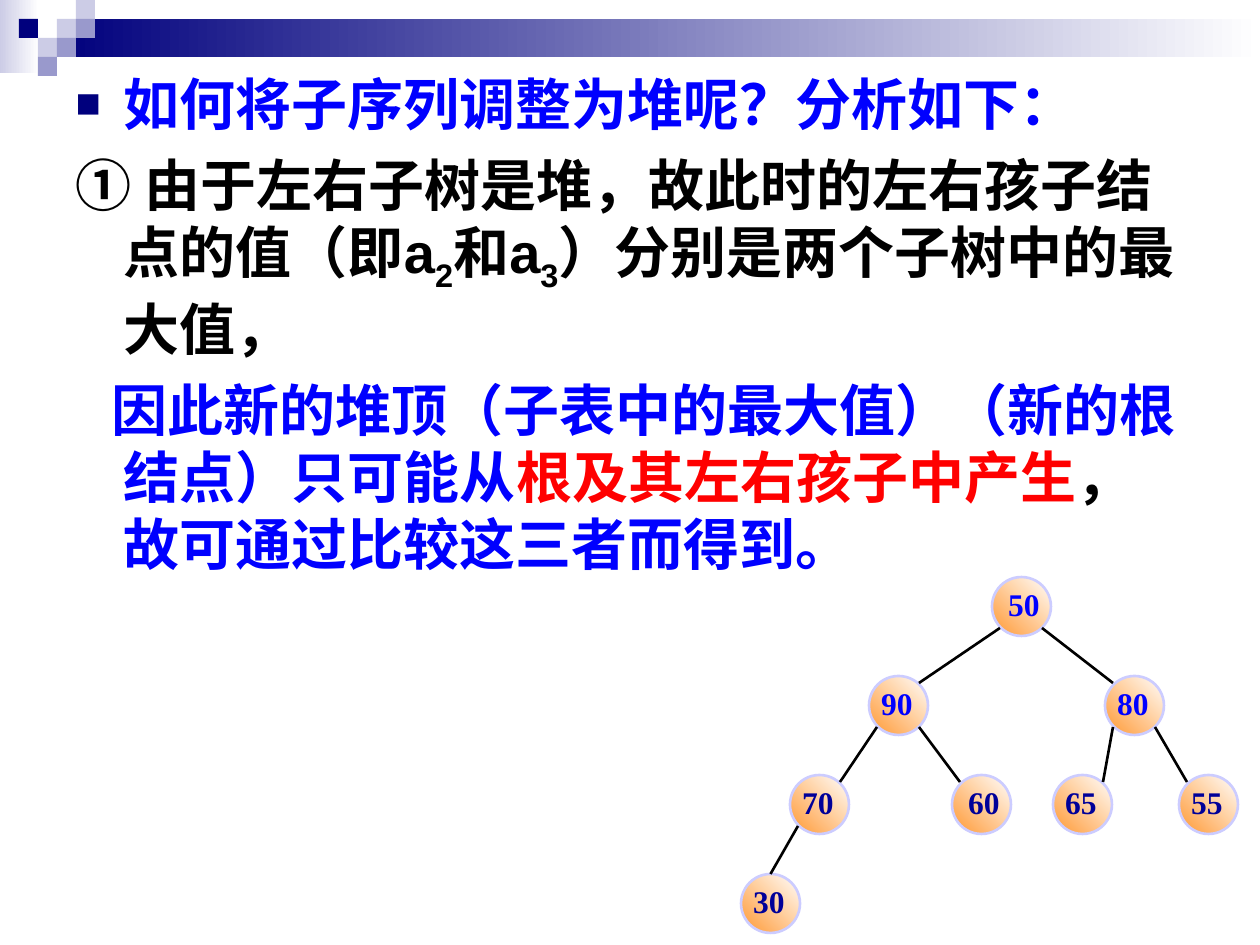
"""Build the slide that explains how a subsequence is adjusted into a heap."""
from dataclasses import dataclass
from typing import Optional

import lxml.etree
import pptx
import pptx.dml.color
import pptx.enum.shapes
import pptx.enum.text
import pptx.oxml.ns
import pptx.util

EMU_PER_PX = 914400 / 126
NODE_SIZE = 59
NODE_RADIUS = 29
LEVEL_TOP = 577
LEVEL_STEP = 99
EDGE_OFFSET_X = 21
EDGE_OFFSET_Y = 22
SQUARE = 19
HANGING = 48


@dataclass(frozen=True)
class Theme:
    navy: str = "00007D"
    lavender: str = "CCCCE6"
    violet: str = "9999CC"
    white: str = "FFFFFF"
    black: str = "000000"
    blue: str = "0000FF"
    red: str = "FF0000"
    leaf_text: str = "000099"
    orange: str = "FF9933"
    node_line: str = "CCCCFF"
    body_font: str = "Arial"
    node_font: str = "Times New Roman"
    body_size: int = 32
    node_size: int = 18
    line_width: float = 1.5


THEME = Theme()


@dataclass(frozen=True)
class Block:
    left: int
    top: int
    width: int
    height: int
    color: str
    fade_to: Optional[str] = None


@dataclass(frozen=True)
class Node:
    value: str
    left: int
    level: int
    color: str
    parent: Optional[str] = None
    right_inset: int = 21

    @property
    def top(self) -> int:
        return LEVEL_TOP + LEVEL_STEP * self.level

    @property
    def center(self) -> tuple[int, int]:
        return self.left + NODE_RADIUS, self.top + NODE_RADIUS


@dataclass(frozen=True)
class Span:
    text: str
    color: str = THEME.black
    baseline: int = 0


@dataclass(frozen=True)
class BodyParagraph:
    spans: tuple[Span, ...]
    indent: int = -HANGING
    bullet: bool = False


def square(column: int, row: int, color: str) -> Block:
    return Block(column * SQUARE, row * SQUARE, SQUARE, SQUARE, color)


HEADER = (
    Block(0, 0, 39, 73, THEME.lavender, THEME.white),
    Block(57, 19, 1203, 38, THEME.navy, THEME.white),
    square(3, 1, THEME.lavender),
    square(4, 0, THEME.lavender),
    square(4, 1, THEME.violet),
    square(2, 2, THEME.lavender),
    square(1, 1, THEME.navy),
    square(3, 2, THEME.violet),
    square(2, 3, THEME.violet),
)

BODY = (
    BodyParagraph((Span("如何将子序列调整为堆呢？分析如下：", THEME.blue),), bullet=True),
    BodyParagraph((
        Span("① 由于左右子树是堆，故此时的左右孩子结点的值（即a"),
        Span("2", baseline=-25000),
        Span("和a"),
        Span("3", baseline=-25000),
        Span("）分别是两个子树中的最大值，"),
    )),
    BodyParagraph((
        Span("因此新的堆顶（子表中的最大值）（新的根结点）只可能从", THEME.blue),
        Span("根及其左右孩子中产生", THEME.red),
        Span("，"),
        Span("故可通过比较这三者而得到。", THEME.blue),
    ), indent=-12),
)

TREE = (
    Node("50", 992, 0, THEME.blue, right_inset=13),
    Node("90", 869, 1, THEME.blue, "50"),
    Node("80", 1105, 1, THEME.blue, "50"),
    Node("70", 790, 2, THEME.leaf_text, "90"),
    Node("60", 952, 2, THEME.leaf_text, "90", right_inset=13),
    Node("65", 1053, 2, THEME.leaf_text, "80"),
    Node("55", 1179, 2, THEME.leaf_text, "80"),
    Node("30", 741, 3, THEME.leaf_text, "70"),
)


def px(length: int) -> pptx.util.Emu:
    return pptx.util.Emu(round(length * EMU_PER_PX))


def rgb(color: str) -> pptx.dml.color.RGBColor:
    return pptx.dml.color.RGBColor.from_string(color)


def write_text(paragraph, text: str, *, font: str, size: int, color: str, baseline: int = 0) -> None:
    run = paragraph.add_run()
    run.text = text
    run.font.name = font
    run.font.size = pptx.util.Pt(size)
    run.font.bold = True
    run.font.color.rgb = rgb(color)
    if baseline:
        run.font._element.set("baseline", str(baseline))


def add_filled_shape(slide, kind, block: Block, angle: int = 0):
    shape = slide.shapes.add_shape(
        kind, px(block.left), px(block.top), px(block.width), px(block.height))
    shape.shadow.inherit = False
    shape.line.fill.background()
    if block.fade_to:
        shape.fill.gradient()
        shape.fill.gradient_angle = angle
        for stop, color in zip(shape.fill.gradient_stops, (block.color, block.fade_to)):
            stop.color.rgb = rgb(color)
    else:
        shape.fill.solid()
        shape.fill.fore_color.rgb = rgb(block.color)
    return shape


def set_bullet(properties, visible: bool) -> None:
    if not visible:
        lxml.etree.SubElement(properties, pptx.oxml.ns.qn("a:buNone"))
        return
    color = lxml.etree.SubElement(properties, pptx.oxml.ns.qn("a:buClr"))
    lxml.etree.SubElement(color, pptx.oxml.ns.qn("a:srgbClr"), val=THEME.navy)
    lxml.etree.SubElement(properties, pptx.oxml.ns.qn("a:buSzPct"), val="75000")
    lxml.etree.SubElement(properties, pptx.oxml.ns.qn("a:buFont"), typeface=THEME.body_font)
    lxml.etree.SubElement(properties, pptx.oxml.ns.qn("a:buChar"), char="■")


def fill_body(placeholder) -> None:
    placeholder.left, placeholder.top = px(63), px(63)
    placeholder.width, placeholder.height = px(1134), px(882)
    frame = placeholder.text_frame
    frame.auto_size = pptx.enum.text.MSO_AUTO_SIZE.NONE
    for index, content in enumerate(BODY):
        paragraph = frame.add_paragraph() if index else frame.paragraphs[0]
        properties = paragraph._p.get_or_add_pPr()
        properties.set("marL", str(px(HANGING)))
        properties.set("indent", str(px(content.indent)))
        set_bullet(properties, content.bullet)
        paragraph.space_before = pptx.util.Pt(8 if index else 0)
        for span in content.spans:
            write_text(paragraph, span.text, font=THEME.body_font, size=THEME.body_size,
                       color=span.color, baseline=span.baseline)


def add_node(slide, node: Node):
    block = Block(node.left, node.top, NODE_SIZE, NODE_SIZE, THEME.orange, THEME.white)
    shape = add_filled_shape(slide, pptx.enum.shapes.MSO_SHAPE.OVAL, block, angle=45)
    shape.line.color.rgb = rgb(THEME.node_line)
    shape.line.width = pptx.util.Pt(THEME.line_width)
    frame = shape.text_frame
    frame.word_wrap = False
    frame.vertical_anchor = pptx.enum.text.MSO_ANCHOR.MIDDLE
    frame.margin_left, frame.margin_right = px(18), px(node.right_inset)
    frame.margin_top, frame.margin_bottom = px(1), px(6)
    paragraph = frame.paragraphs[0]
    paragraph.alignment = pptx.enum.text.PP_ALIGN.CENTER
    write_text(paragraph, node.value, font=THEME.node_font, size=THEME.node_size, color=node.color)
    return shape


def add_edge(slide, parent: Node, child: Node, child_shape) -> None:
    side = 1 if child.left > parent.left else -1
    (parent_x, parent_y), (child_x, child_y) = parent.center, child.center
    edge = slide.shapes.add_connector(
        pptx.enum.shapes.MSO_CONNECTOR.STRAIGHT,
        px(child_x - side * EDGE_OFFSET_X), px(child_y - EDGE_OFFSET_Y),
        px(parent_x + side * EDGE_OFFSET_X), px(parent_y + EDGE_OFFSET_Y))
    if child.level == 3:
        edge.begin_connect(child_shape, 0)
    edge.line.color.rgb = rgb(THEME.black)
    edge.line.width = pptx.util.Pt(THEME.line_width)
    lxml.etree.SubElement(edge._element.spPr, pptx.oxml.ns.qn("a:effectLst"))


def main() -> None:
    presentation = pptx.Presentation()
    presentation.slide_width, presentation.slide_height = px(1260), px(945)
    slide = presentation.slides.add_slide(presentation.slide_layouts[1])
    title = slide.shapes.title._element
    title.getparent().remove(title)
    fill_body(slide.placeholders[1])
    for block in HEADER:
        add_filled_shape(slide, pptx.enum.shapes.MSO_SHAPE.RECTANGLE, block)
    shapes = {node.value: add_node(slide, node) for node in TREE}
    nodes = {node.value: node for node in TREE}
    for node in TREE:
        if node.parent:
            add_edge(slide, nodes[node.parent], node, shapes[node.value])
    presentation.save("out.pptx")


if __name__ == "__main__":
    main()
